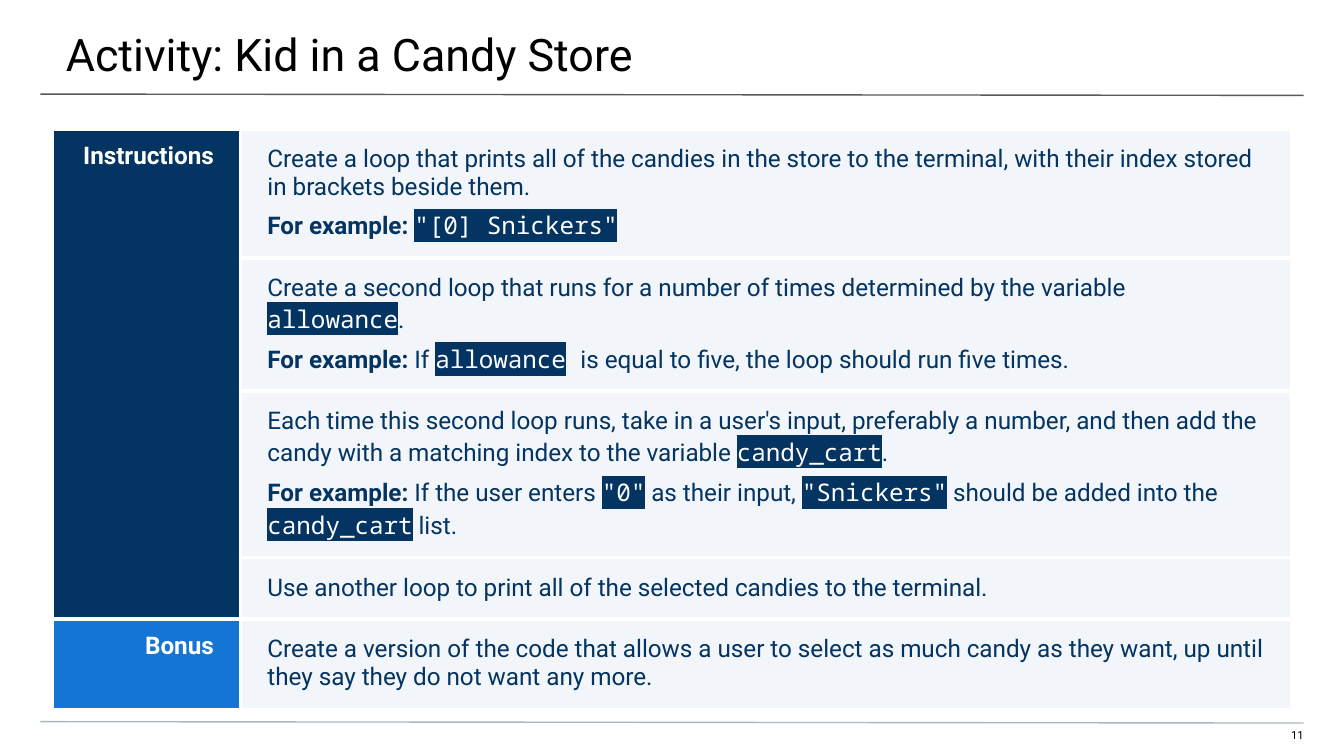
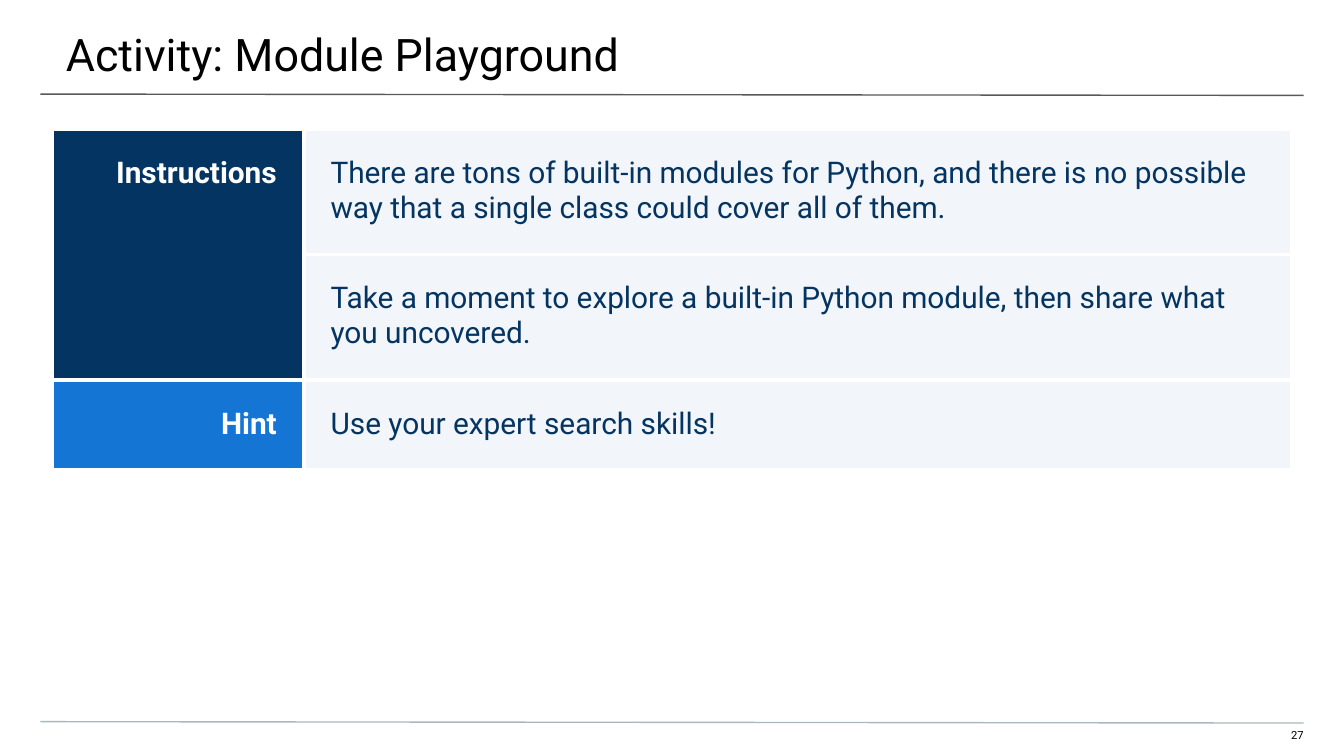
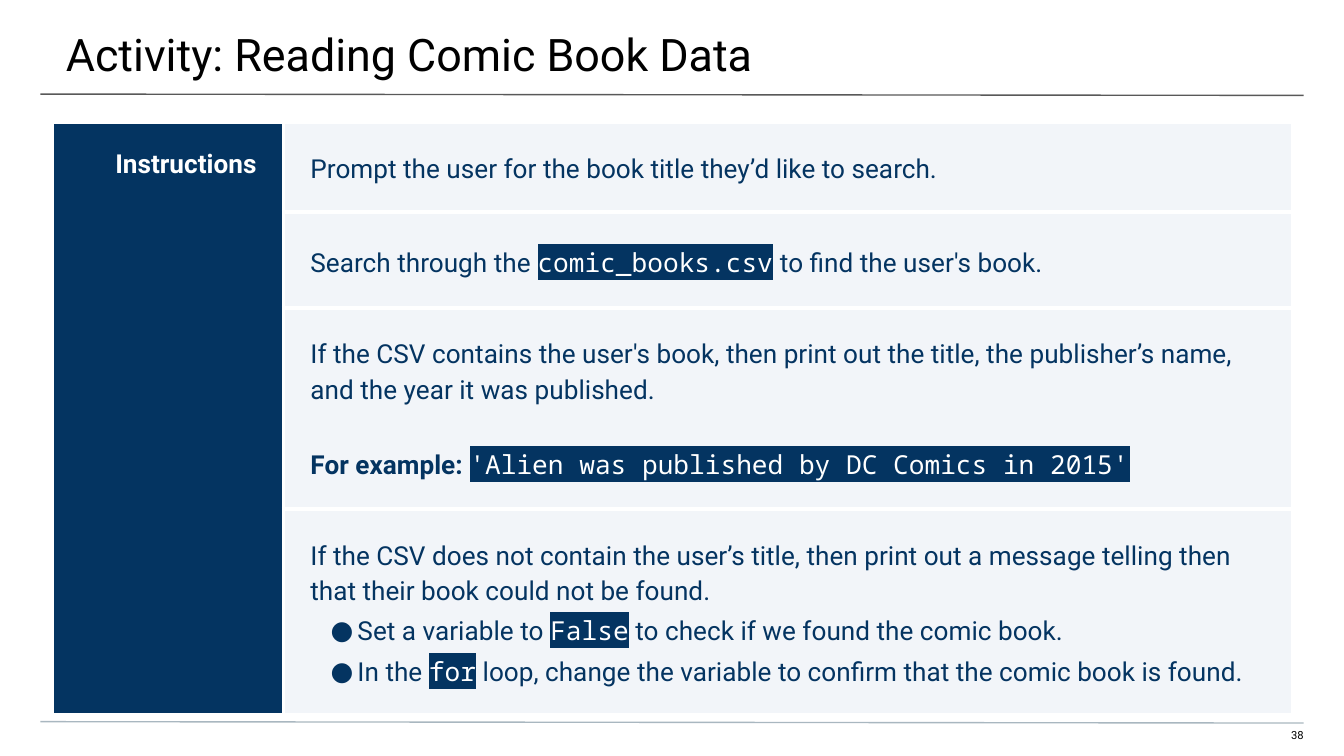
from dataclasses import dataclass

from lxml import etree
from pptx import Presentation
from pptx.dml.color import RGBColor
from pptx.enum.shapes import MSO_CONNECTOR
from pptx.enum.text import MSO_ANCHOR, PP_ALIGN
from pptx.oxml.ns import qn
from pptx.util import Inches, Pt

STRAIGHT = MSO_CONNECTOR.STRAIGHT
TOP = MSO_ANCHOR.TOP
LEFT, RIGHT = PP_ALIGN.LEFT, PP_ALIGN.RIGHT

# Shared look
SLIDE_W = Inches(10)
SLIDE_H = SLIDE_W * 9 // 16
SANS, MONO = "Roboto", "Noto Sans Mono"
NAVY, BLUE, PALE = "043461", "1475D4", "F2F5F9"
BLACK, WHITE = "000000", "FFFFFF"
TITLE_RULE, FOOTER_RULE = "595959", "A9B7C0"
TABLE_LEFT = 0.39
CELL_SIDE = 0.2
BORDER_PT = 2.25


@dataclass(frozen=True)
class Run:
    text: str
    color: str = NAVY
    font: str = SANS
    bold: bool = False
    highlight: str | None = None


@dataclass(frozen=True)
class Para:
    runs: tuple[Run, ...]
    before: float = 0
    after: float = 0
    bullet: bool = False


@dataclass(frozen=True)
class Section:
    """A label cell spanning one or more body cells."""
    label: str
    fill: str
    cells: list[list[Para]]


@dataclass(frozen=True)
class Activity:
    title: str
    number: int
    top: float
    cols: tuple[float, ...]
    rows: tuple[float, ...]
    size: float
    label_pad: float
    body_pad: float
    sections: list[Section]
    label_after: float = 4
    line_spacing: float | None = None


def code(text: str) -> Run:
    return Run(text, WHITE, MONO, highlight=NAVY)


def bold(text: str) -> Run:
    return Run(text, bold=True)


def para(*parts: str | Run, before: float = 0, after: float = 0, bullet: bool = False) -> Para:
    runs = tuple(Run(part) if isinstance(part, str) else part for part in parts)
    return Para(runs, before, after, bullet)


def rgb(color: str) -> RGBColor:
    return RGBColor.from_string(color)


def add_color(parent, color: str) -> None:
    etree.SubElement(parent, qn("a:srgbClr"), val=color)


def add_text(p, text: str, *, size: float, color: str = BLACK, font: str = SANS,
             bold: bool = False, highlight: str | None = None) -> None:
    r = p.add_run()
    r.text = text
    r.font.size = Pt(size)
    r.font.bold = bold
    r.font.color.rgb = rgb(color)
    if highlight:
        mark = etree.Element(qn("a:highlight"))
        add_color(mark, highlight)
        r.font._element.find(qn("a:solidFill")).addnext(mark)
    r.font.name = font


def add_bullet(p, size: float) -> None:
    pPr = p._p.get_or_add_pPr()
    pPr.set("marL", str(Inches(0.35)))
    pPr.set("indent", str(Inches(-0.2)))
    add_color(etree.SubElement(pPr, qn("a:buClr")), NAVY)
    etree.SubElement(pPr, qn("a:buSzPts"), val=str(int(size * 100)))
    etree.SubElement(pPr, qn("a:buFont"), typeface=SANS)
    etree.SubElement(pPr, qn("a:buChar"), char="●")


def write_paras(tf, paras: list[Para], size: float, align=LEFT,
                line_spacing: float | None = None) -> None:
    for i, item in enumerate(paras):
        p = tf.add_paragraph() if i else tf.paragraphs[0]
        if item.bullet:
            add_bullet(p, size)
        p.alignment = align
        p.line_spacing = line_spacing
        if i:
            p.space_before = Pt(item.before)
        p.space_after = Pt(item.after)
        for run in item.runs:
            add_text(p, run.text, size=size, color=run.color, font=run.font,
                     bold=run.bold, highlight=run.highlight)


def add_box(s, text: str, box: tuple[float, ...], insets: tuple[float, ...],
            size: float, align=LEFT) -> None:
    sp = s.shapes.add_textbox(*map(Inches, box))
    tf = sp.text_frame
    tf.word_wrap = True
    tf.vertical_anchor = TOP
    tf.margin_left, tf.margin_top, tf.margin_right, tf.margin_bottom = map(Inches, insets)
    write_paras(tf, [Para((Run(text, BLACK),))], size, align)


def add_rule(s, y: float, color: str) -> None:
    line = s.shapes.add_connector(STRAIGHT, Inches(0.3), Inches(y), Inches(9.7), Inches(y + 0.01))
    line.line.color.rgb = rgb(color)
    line.line.width = Pt(0.75)
    etree.SubElement(line._element.spPr, qn("a:effectLst"))


def style_cell(cell, fill: str, pad: float) -> None:
    cell.margin_left = cell.margin_right = Inches(CELL_SIDE)
    cell.margin_top = cell.margin_bottom = Inches(pad)
    cell.vertical_anchor = TOP
    tcPr = cell._tc.get_or_add_tcPr()
    for side in ("lnL", "lnR", "lnT", "lnB"):
        ln = etree.SubElement(tcPr, qn(f"a:{side}"), w=str(Pt(BORDER_PT)))
        add_color(etree.SubElement(ln, qn("a:solidFill")), WHITE)
    cell.fill.solid()
    cell.fill.fore_color.rgb = rgb(fill)


def add_activity_table(s, act: Activity) -> None:
    frame = s.shapes.add_table(len(act.rows), len(act.cols), Inches(TABLE_LEFT), Inches(act.top),
                               Inches(sum(act.cols)), Inches(sum(act.rows)))
    table = frame.table
    table.first_row = table.horz_banding = False
    for column, width in zip(table.columns, act.cols):
        column.width = Inches(width)
    for row, height in zip(table.rows, act.rows):
        row.height = Inches(height)

    first = 0
    for section in act.sections:
        for i, paras in enumerate(section.cells, first):
            label, body = table.cell(i, 0), table.cell(i, 1)
            style_cell(label, section.fill, act.label_pad)
            style_cell(body, PALE, act.body_pad)
            write_paras(body.text_frame, paras, act.size, line_spacing=act.line_spacing)
        label = table.cell(first, 0)
        heading = para(Run(section.label, WHITE, bold=True), after=act.label_after)
        write_paras(label.text_frame, [heading], act.size, RIGHT)
        last = first + len(section.cells) - 1
        if last > first:
            label.merge(table.cell(last, 0))
        first = last + 1


def add_activity(prs, act: Activity) -> None:
    s = prs.slides.add_slide(prs.slide_layouts[6])
    s.background.fill.solid()
    s.background.fill.fore_color.rgb = rgb(WHITE)
    add_box(s, str(act.number), (9.41, 5.42, 0.29, 0.12), (0, 0, 0, 0.1), 6, RIGHT)
    add_rule(s, 0.7, TITLE_RULE)
    add_rule(s, 5.37, FOOTER_RULE)
    add_box(s, act.title, (-0.01, 0, 10.03, 0.58), (0.5, 0.2, 0.3, 0.1), 24)
    add_activity_table(s, act)


# Slide content
CANDY_STORE = Activity(
    "Activity: Kid in a Candy Store", 11, top=0.96,
    cols=(1.4, 7.82), rows=(0.96, 0.99, 1.24, 0.45, 0.64),
    size=13, label_pad=0.1, body_pad=0.12,
    sections=[
        Section("Instructions", NAVY, [
            [para("Create a loop that prints all of the candies in the store to the terminal, "
                  "with their index stored in brackets beside them."),
             para(bold("For example: "), code('"[0] Snickers"'), before=4, after=4)],
            [para("Create a second loop that runs for a number of times determined by the variable ",
                  code("allowance"), "."),
             para(bold("For example:"), " If ", code("allowance"), Run(" ", font=MONO),
                  "is equal to five, the loop should run five times.", before=4, after=4)],
            [para("Each time this second loop runs, take in a user's input, preferably a number, "
                  "and then add the candy with a matching index to the variable ",
                  code("candy_cart"), "."),
             para(bold("For example:"), " If the user enters ", code('"0"'), " as their input, ",
                  code('"Snickers"'), " should be added into the ", code("candy_cart"), " list.",
                  before=4, after=4)],
            [para("Use another loop to print all of the selected candies to the terminal.", after=4)],
        ]),
        Section("Bonus", BLUE, [
            [para("Create a version of the code that allows a user to select as much candy as they "
                  "want, up until they say they do not want any more.", after=4)],
        ]),
    ],
)

MODULE_PLAYGROUND = Activity(
    "Activity: Module Playground", 27, top=0.96,
    cols=(1.87, 7.35), rows=(0.92, 0.92, 0.65),
    size=16, label_pad=0.2, body_pad=0.2,
    sections=[
        Section("Instructions", NAVY, [
            [para("There are tons of built-in modules for Python, and there is no possible way "
                  "that a single class could cover all of them.", after=4)],
            [para("Take a moment to explore a built-in Python module, then share what you "
                  "uncovered.", after=4)],
        ]),
        Section("Hint", BLUE, [[para("Use your expert search skills!", after=4)]]),
    ],
)

COMIC_BOOKS = Activity(
    "Activity: Reading Comic Book Data", 38, top=0.91,
    cols=(1.72, 7.51), rows=(0.67, 0.71, 1.5, 1.53),
    size=14, label_pad=0.2, body_pad=0.2, label_after=0, line_spacing=1.15,
    sections=[
        Section("Instructions", NAVY, [
            [para("Prompt the user for the book title they’d like to search.")],
            [para("Search through the ", code("comic_books.csv"), " to find the user's book.")],
            [para("If the CSV contains the user's book, then print out the title, the publisher’s "
                  "name, and the year it was published."),
             para(bold("For example: "), code("'Alien was published by DC Comics in 2015'"),
                  before=19)],
            [para("If the CSV does not contain the user’s title, then print out a message telling "
                  "then that their book could not be found."),
             para("Set a variable to ", code("False"), " to check if we found the comic book.",
                  bullet=True),
             para("In the ", code("for"),
                  " loop, change the variable to confirm that the comic book is found.",
                  bullet=True)],
        ]),
    ],
)


def main() -> None:
    prs = Presentation()
    prs.slide_width, prs.slide_height = SLIDE_W, SLIDE_H
    for act in (CANDY_STORE, MODULE_PLAYGROUND, COMIC_BOOKS):
        add_activity(prs, act)
    prs.save("out.pptx")


if __name__ == "__main__":
    main()
